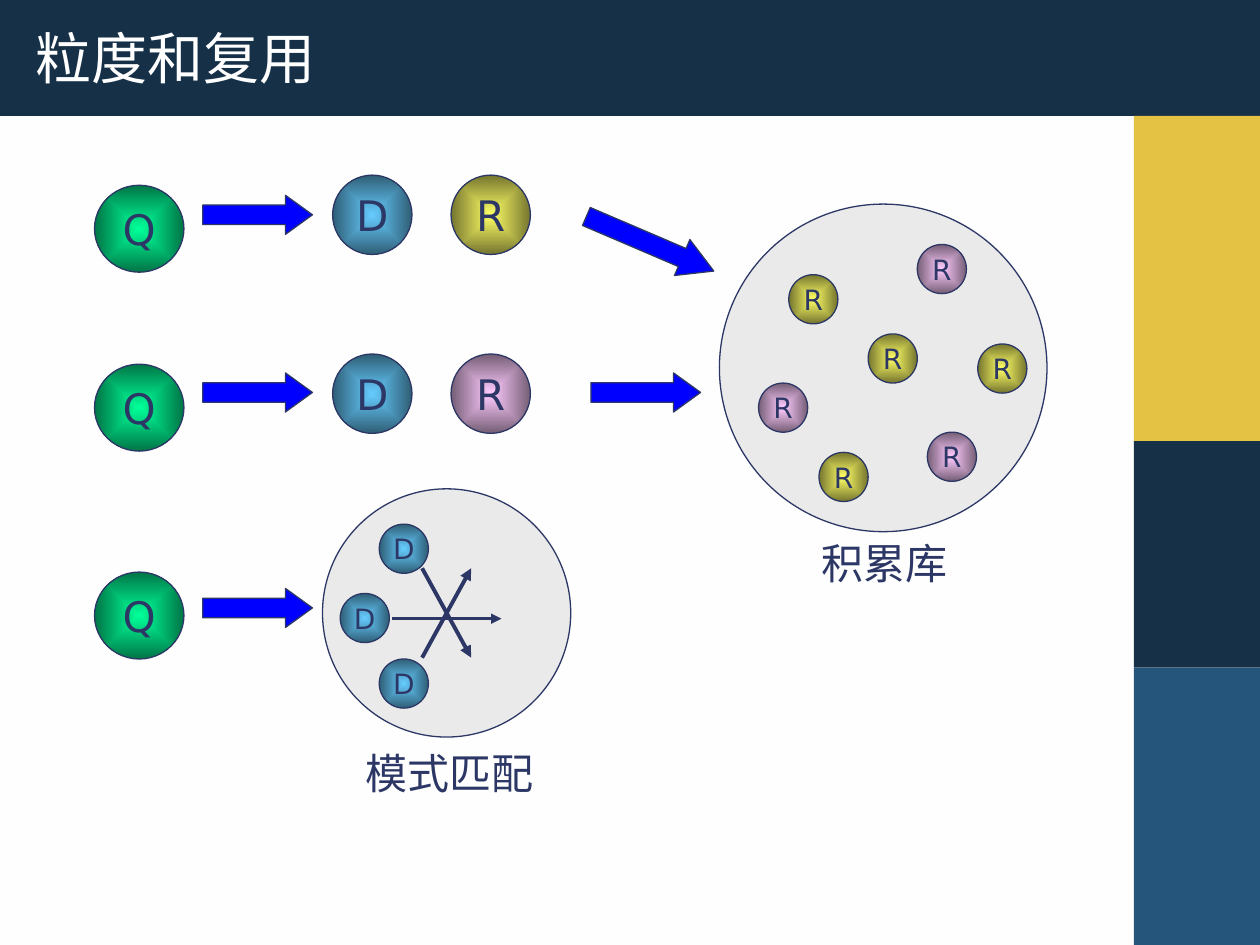
from lxml import etree
from pptx import Presentation
from pptx import util as u
from pptx.dml.color import RGBColor
from pptx.enum import shapes, text
from pptx.oxml import ns

THEME = {
    "navy": "153047", "steel": "25557B", "gold": "E4C244",
    "ink": "2C3766", "white": "FFFFFF", "paper": "FEFEFE",
    "pool": "EAEAEA", "arrow": "0000FF",
    # ball gradients: centre, edge
    "green": ("00FF99", "007546"), "blue": ("66CCFF", "2F5E75"),
    "yellow": ("FFFF66", "75752F"), "pink": ("FFCCFF", "755E75"),
    "title": 32, "large": 24, "small": 16,
}
rgb = RGBColor.from_string
I = u.Inches
MSO = shapes.MSO_SHAPE


def add_shape(kind, box, fill, line=True):
    """Add a preset shape; a pair of colours gives a gradient from the centre."""
    sp = s.shapes.add_shape(kind, *map(I, box))
    sp.shadow.inherit = False
    color = THEME[fill]
    if isinstance(color, tuple):
        sp.fill.gradient()
        for stop, c in zip(sp.fill.gradient_stops, color):
            stop.color.rgb = rgb(c)
        lin = sp.element.spPr.find(".//" + ns.qn("a:lin"))
        path = etree.Element(ns.qn("a:path"), path="rect")
        etree.SubElement(path, ns.qn("a:fillToRect"),
                         l="50000", t="50000", r="50000", b="50000")
        lin.getparent().replace(lin, path)
    else:
        sp.fill.solid()
        sp.fill.fore_color.rgb = rgb(color)
    if line:
        sp.line.color.rgb = rgb(THEME["ink"])
        sp.line.width = u.Pt(0.75)
    else:
        sp.line.fill.background()
    return sp


def write(sp, words, size, font, color="ink", align=None, **frame):
    tf = sp.text_frame
    tf.text = words
    for name, value in frame.items():
        setattr(tf, name, value)
    p = tf.paragraphs[0]
    p.alignment = align
    for name, value in {"name": font, "size": u.Pt(THEME[size])}.items():
        setattr(p.runs[0].font, name, value)
    p.runs[0].font.color.rgb = rgb(THEME[color])


prs = Presentation()
prs.slide_width, prs.slide_height = I(10), I(7.5)
s = prs.slides.add_slide(prs.slide_layouts[5])

# Background and colour bands
bg = s.background.fill
bg.gradient()
for stop, c in zip(bg.gradient_stops, ("paper", "white")):
    stop.color.rgb = rgb(THEME[c])
for box, fill in (((0, 0, 10, 0.92), "navy"), ((9, 3.5, 1, 1.8), "navy"),
                  ((9, 5.3, 1, 2.2), "steel"), ((9, 0.92, 1, 2.58), "gold")):
    add_shape(MSO.RECTANGLE, box, fill, line=False)

# Title, raised above the top band
title = s.shapes.title
s.shapes.element.append(title.element)
title.left, title.top, title.width, title.height = map(I, (0.18, 0.19, 7.75, 0.53))
write(title, "粒度和复用", "title", "Arial", "white", text.PP_ALIGN.LEFT,
      vertical_anchor=text.MSO_ANCHOR.MIDDLE, auto_size=text.MSO_AUTO_SIZE.NONE)

# Pools
for x, y, d in ((2.56, 3.88, 1.97), (5.71, 1.62, 2.6)):
    add_shape(MSO.OVAL, (x, y, d, d), "pool")

# Block arrows: left, top, width, rotation, head length
for x, y, w, angle, head in ((1.61, 1.55, 0.87, 0, 0.69), (1.61, 2.96, 0.87, 0, 0.69),
                             (1.61, 4.67, 0.87, 0, 0.69), (4.69, 2.96, 0.87, 0, 0.69),
                             (4.61, 1.78, 1.1, 23.2, 0.88)):
    sp = add_shape(MSO.RIGHT_ARROW, (x, y, w, 0.31), "arrow")
    sp.adjustments[1] = head
    sp.rotation = angle

# Lettered balls: letter, fill, text size, width, height, positions
BALLS = (
    ("Q", "green", "large", 0.71, 0.69, ((0.75, 1.47), (0.75, 2.89), (0.75, 4.54))),
    ("D", "blue", "large", 0.63, 0.63, ((2.64, 1.39), (2.64, 2.81))),
    ("R", "yellow", "large", 0.63, 0.63, ((3.58, 1.39),)),
    ("R", "pink", "large", 0.63, 0.63, ((3.58, 2.81),)),
    ("R", "yellow", "small", 0.39, 0.39,
     ((6.26, 2.18), (6.5, 3.59), (7.76, 2.73), (6.89, 2.65))),
    ("R", "pink", "small", 0.39, 0.39, ((7.28, 1.94), (7.36, 3.43), (6.02, 3.04))),
    ("D", "blue", "small", 0.39, 0.39, ((3.01, 4.16), (2.7, 4.71), (3.01, 5.23))),
)
for letter, fill, size, w, h, places in BALLS:
    for x, y in places:
        sp = add_shape(MSO.OVAL, (x, y, w, h), fill)
        write(sp, letter, size, "DejaVu Sans", align=text.PP_ALIGN.CENTER,
              vertical_anchor=text.MSO_ANCHOR.MIDDLE, word_wrap=False)

# Crossing match arrows
for ends, width in (((3.35, 5.22, 3.74, 4.51), 2.25), ((3.35, 4.51, 3.74, 5.22), 2.25),
                    ((3.11, 4.91, 3.98, 4.91), 1.5)):
    c = s.shapes.add_connector(shapes.MSO_CONNECTOR.STRAIGHT, *map(I, ends))
    c.line.color.rgb = rgb(THEME["ink"])
    c.line.width = u.Pt(width)
    etree.SubElement(c.line._get_or_add_ln(), ns.qn("a:tailEnd"), type="triangle")
    etree.SubElement(c.element.spPr, ns.qn("a:effectLst"))

# Pool captions
for words, box in (("积累库", (6.42, 4.22, 1.2, 0.5)), ("模式匹配", (2.8, 5.88, 1.53, 0.5))):
    sp = s.shapes.add_textbox(*map(I, box))
    write(sp, words, "large", "Times New Roman", word_wrap=False,
          auto_size=text.MSO_AUTO_SIZE.SHAPE_TO_FIT_TEXT)

prs.save("out.pptx")
